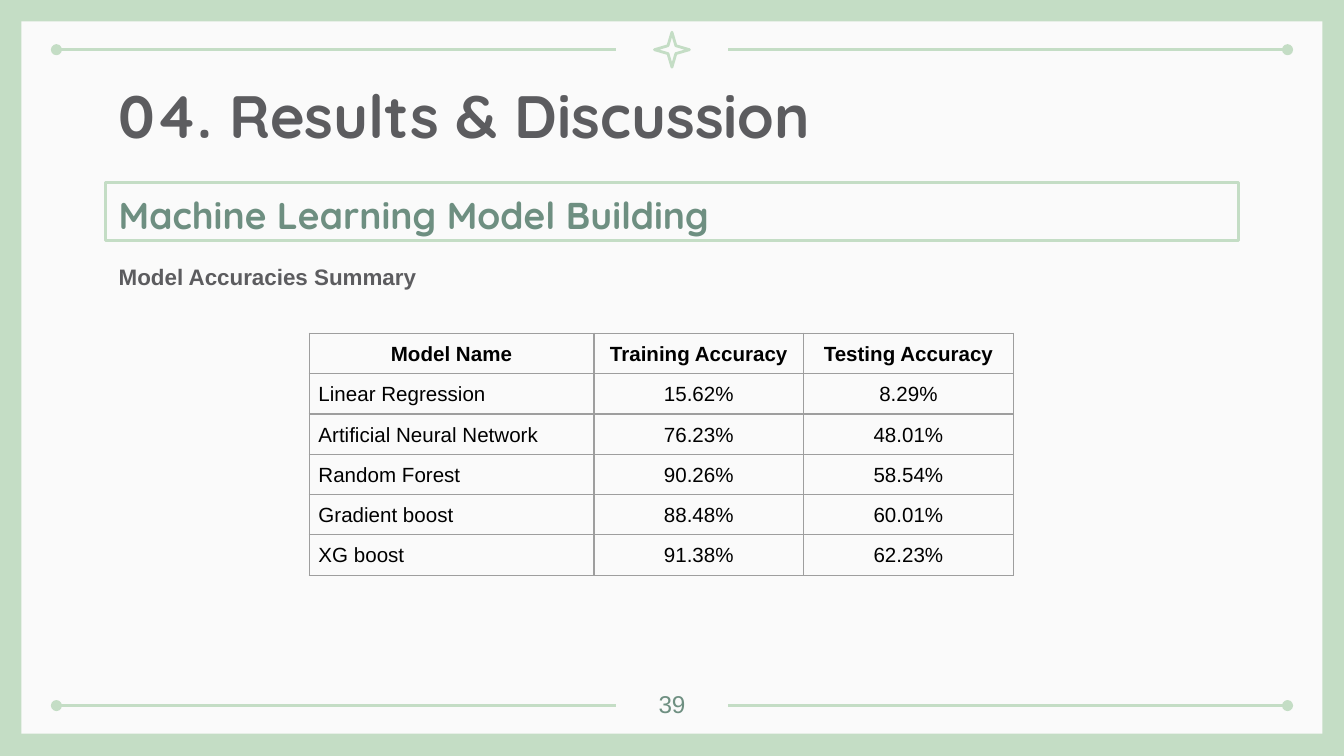
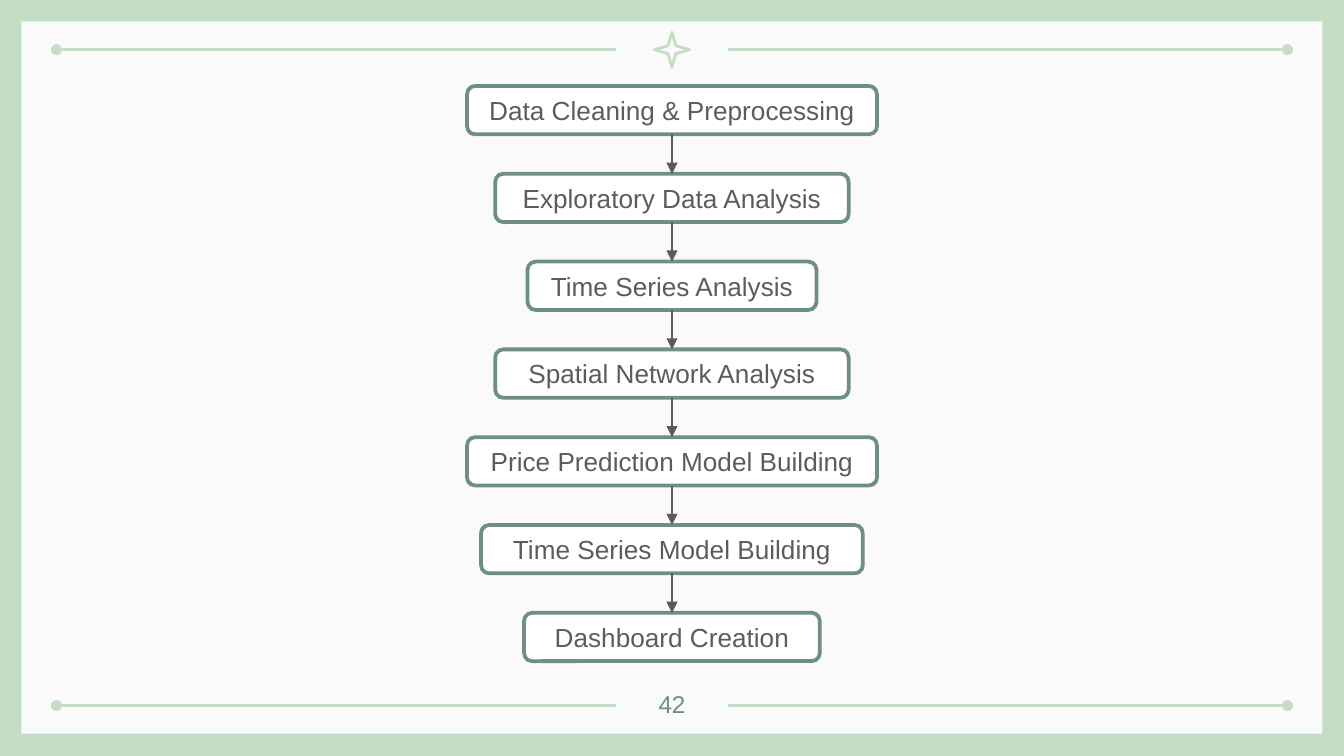
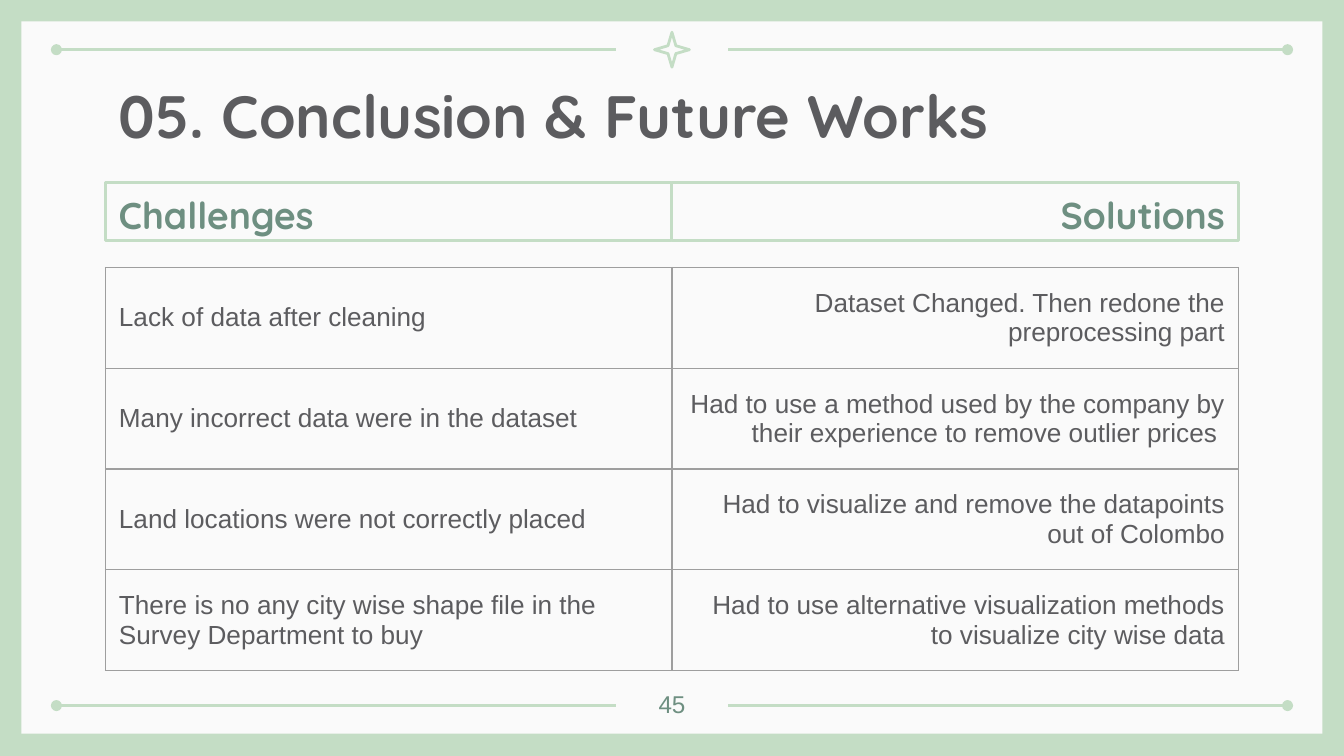
"""Build three slides on model accuracies, the project workflow and its challenges."""
from dataclasses import dataclass
from typing import Any, Optional

from lxml import etree
from pptx import Presentation, util as u
from pptx.dml import color as dml
from pptx.enum import shapes, text
from pptx.oxml import ns

COLORS = {
    "mint": "C4DDC5", "paper": "FAFAFA", "white": "FFFFFF", "black": "000000",
    "sage": "6E8F81", "ink": "5C5C5F", "arrow": "5A5A5D", "grid": "9E9E9E",
}
LEFT, CENTER, RIGHT = text.PP_ALIGN.LEFT, text.PP_ALIGN.CENTER, text.PP_ALIGN.RIGHT
TOP, MIDDLE = text.MSO_ANCHOR.TOP, text.MSO_ANCHOR.MIDDLE
SLIDE_W = u.Inches(10)
SLIDE_H = SLIDE_W * 9 // 16
MID_X = 5
CONTENT_W = 8.43
HALF_W = CONTENT_W / 2
CONTENT_X = MID_X - HALF_W
FLOW_TOP, FLOW_LAST, FLOW_H = 0.64, 4.56, 0.36
MARGINS = ("margin_left", "margin_top", "margin_right", "margin_bottom")


@dataclass(frozen=True)
class Style:
    size: float
    color: str
    bold: bool = False
    name: str = "Arial"
    spacing: Optional[float] = None


@dataclass(frozen=True)
class Box:
    x: float
    y: float
    w: float
    h: float

    def emu(self) -> list[int]:
        return [u.Inches(v) for v in (self.x, self.y, self.w, self.h)]


@dataclass(frozen=True)
class Rule:
    x1: float
    x2: float
    dot: str


@dataclass(frozen=True)
class Step:
    label: str
    width: float


@dataclass(frozen=True)
class Grid:
    box: Box
    widths: list[float]
    aligns: list[Any]
    rows: list[list[str]]
    style: Style
    insets: tuple[float, float]
    header: Optional[Style] = None


TITLE = Style(32, "ink", True, "Quicksand")
HEADING = Style(20, "sage", True, "Quicksand", 1.15)
CAPTION = Style(12, "ink", True, spacing=1.5)
PAGE = Style(13, "sage")
BODY = Style(14, "ink")
FIGURE = Style(11, "black", spacing=1.07)
FIGURE_HEAD = Style(11, "black", True, spacing=1.07)

RULES = [Rule(0.42, 4.58, "head"), Rule(5.42, 9.58, "tail")]
STEPS = [
    Step("Data Cleaning & Preprocessing", 3.05),
    Step("Exploratory Data Analysis", 2.63),
    Step("Time Series Analysis", 2.15),
    Step("Spatial Network Analysis", 2.63),
    Step("Price Prediction Model Building", 3.05),
    Step("Time Series Model Building", 2.84),
    Step("Dashboard Creation", 2.2),
]
ACCURACIES = Grid(
    Box(2.3, 2.48, 5.24, 1.8), [2.12, 1.56, 1.56], [LEFT, CENTER, CENTER],
    [
        ["Model Name", "Training Accuracy", "Testing Accuracy"],
        ["Linear Regression", "15.62%", "8.29%"],
        ["Artificial Neural Network", "76.23%", "48.01%"],
        ["Random Forest", "90.26%", "58.54%"],
        ["Gradient boost", "88.48%", "60.01%"],
        ["XG boost", "91.38%", "62.23%"],
    ],
    FIGURE, (0.07, 0), FIGURE_HEAD,
)
CHALLENGES = Grid(
    Box(CONTENT_X, 1.99, CONTENT_W, 3), [HALF_W, HALF_W], [LEFT, RIGHT],
    [
        ["Lack of data after cleaning",
         "Dataset Changed. Then redone the preprocessing part"],
        ["Many incorrect data were in the dataset",
         "Had to use a method used by the company by their experience "
         "to remove outlier prices "],
        ["Land locations were not correctly placed",
         "Had to visualize and remove the datapoints out of Colombo"],
        ["There is no any city wise shape file in the Survey Department to buy",
         "Had to use alternative visualization methods to visualize city wise data"],
    ],
    BODY, (0.1, 0.1),
)


def rgb(name: str) -> dml.RGBColor:
    return dml.RGBColor.from_string(COLORS[name])


def assign(target: Any, values: dict[str, Any]) -> None:
    for key, value in values.items():
        setattr(target, key, value)


def write(tf: Any, words: str, style: Style, align: Any = LEFT) -> None:
    p = tf.paragraphs[0]
    assign(p, {"alignment": align, "line_spacing": style.spacing})
    r = p.add_run()
    r.text = words
    assign(r.font, {"size": u.Pt(style.size), "name": style.name, "bold": style.bold})
    r.font.color.rgb = rgb(style.color)


def frame_text(sp: Any, words: str, style: Style, align: Any, anchor: Any) -> None:
    tf = sp.text_frame
    assign(tf, {"word_wrap": True, "vertical_anchor": anchor})
    assign(tf, dict.fromkeys(MARGINS, u.Inches(0.1)))
    write(tf, words, style, align)


def add_text(s: Any, box: Box, words: str, style: Style, align: Any = LEFT) -> None:
    frame_text(s.shapes.add_textbox(*box.emu()), words, style, align, TOP)


def add_shape(s: Any, kind: Any, box: Box, fill: Optional[str] = None,
              line: Optional[str] = None, weight: float = 1.5) -> Any:
    sp = s.shapes.add_shape(kind, *box.emu())
    sp.shadow.inherit = False
    if fill:
        sp.fill.solid()
        sp.fill.fore_color.rgb = rgb(fill)
    else:
        sp.fill.background()
    if line:
        sp.line.color.rgb = rgb(line)
        sp.line.width = u.Pt(weight)
    else:
        sp.line.fill.background()
    return sp


def add_line(s: Any, ends: list[int], color: str, weight: float,
             end: str, marker: str) -> Any:
    sp = s.shapes.add_connector(shapes.MSO_CONNECTOR.STRAIGHT, *ends)
    sp.line.color.rgb = rgb(color)
    sp.line.width = u.Pt(weight)
    etree.SubElement(sp.line._get_or_add_ln(), ns.qn(f"a:{end}End"), type=marker)
    etree.SubElement(sp._element.spPr, ns.qn("a:effectLst"))
    return sp


def border_cell(cell: Any) -> None:
    tc_pr = cell._tc.get_or_add_tcPr()
    for side in "LRTB":
        ln = etree.SubElement(tc_pr, ns.qn(f"a:ln{side}"), w=str(u.Pt(0.75)))
        fill = etree.SubElement(ln, ns.qn("a:solidFill"))
        etree.SubElement(fill, ns.qn("a:srgbClr"), val=COLORS["grid"])
    cell.fill.background()


def add_grid(s: Any, grid: Grid) -> None:
    table = s.shapes.add_table(len(grid.rows), len(grid.widths), *grid.box.emu()).table
    assign(table, {"first_row": grid.header is not None, "horz_banding": False})
    for column, width in zip(table.columns, grid.widths):
        column.width = u.Inches(width)
    side, edge = (u.Inches(v) for v in grid.insets)
    for i, row in enumerate(grid.rows):
        head = grid.header if i == 0 else None
        for j, words in enumerate(row):
            cell = table.cell(i, j)
            assign(cell, dict(zip(MARGINS, (side, edge, side, edge))))
            cell.vertical_anchor = MIDDLE
            border_cell(cell)
            write(cell.text_frame, words, head or grid.style,
                  CENTER if head else grid.aligns[j])


def add_heading(s: Any, x: float, w: float, words: str, align: Any = LEFT) -> None:
    sp = add_shape(s, shapes.MSO_SHAPE.RECTANGLE, Box(x, 1.36, w, 0.43), line="mint")
    frame_text(sp, words, HEADING, align, MIDDLE)


def new_slide(prs: Any, page: int, title: Optional[str] = None) -> Any:
    s = prs.slides.add_slide(prs.slide_layouts[6])
    s.background.fill.solid()
    s.background.fill.fore_color.rgb = rgb("mint")
    add_shape(s, shapes.MSO_SHAPE.RECTANGLE, Box(0.16, 0.16, 9.68, 5.3), "paper")
    for y in (0.37, 5.25):
        for rule in RULES:
            ends = [u.Inches(v) for v in (rule.x1, y, rule.x2, y)]
            add_line(s, ends, "mint", 1.5, rule.dot, "oval")
    star = add_shape(s, shapes.MSO_SHAPE.STAR_4_POINT,
                     Box(4.87, 0.24, 0.26, 0.26), line="mint")
    star.adjustments[0] = 0.16
    if title:
        add_text(s, Box(CONTENT_X, 0.49, CONTENT_W, 0.63), title, TITLE)
    add_text(s, Box(4.7, 5.03, 0.6, 0.36), str(page), PAGE, CENTER)
    return s


def results_slide(prs: Any) -> None:
    s = new_slide(prs, 39, "04. Results & Discussion")
    add_text(s, Box(CONTENT_X, 1.76, CONTENT_W, 3.21), "Model Accuracies Summary", CAPTION)
    add_heading(s, CONTENT_X, CONTENT_W, "Machine Learning Model Building")
    add_grid(s, ACCURACIES)


def workflow_slide(prs: Any) -> None:
    s = new_slide(prs, 42)
    pitch = (FLOW_LAST - FLOW_TOP) / (len(STEPS) - 1)
    boxes = []
    for i, step in enumerate(STEPS):
        box = Box(MID_X - step.width / 2, FLOW_TOP + i * pitch, step.width, FLOW_H)
        sp = add_shape(s, shapes.MSO_SHAPE.FLOWCHART_ALTERNATE_PROCESS, box,
                       "white", "sage", 2)
        frame_text(sp, step.label, BODY, CENTER, MIDDLE)
        boxes.append(sp)
    for upper, lower in zip(boxes, boxes[1:]):
        x = u.Inches(MID_X)
        arrow = add_line(s, [x, upper.top + upper.height, x, lower.top],
                         "arrow", 0.75, "tail", "triangle")
        arrow.begin_connect(upper, 2)
        arrow.end_connect(lower, 0)


def conclusion_slide(prs: Any) -> None:
    s = new_slide(prs, 45, "05. Conclusion & Future Works")
    add_heading(s, CONTENT_X, HALF_W, "Challenges")
    add_heading(s, MID_X, HALF_W, "Solutions", RIGHT)
    add_grid(s, CHALLENGES)


def main() -> None:
    prs = Presentation()
    assign(prs, {"slide_width": SLIDE_W, "slide_height": SLIDE_H})
    for build in (results_slide, workflow_slide, conclusion_slide):
        build(prs)
    prs.save("out.pptx")


if __name__ == "__main__":
    main()
